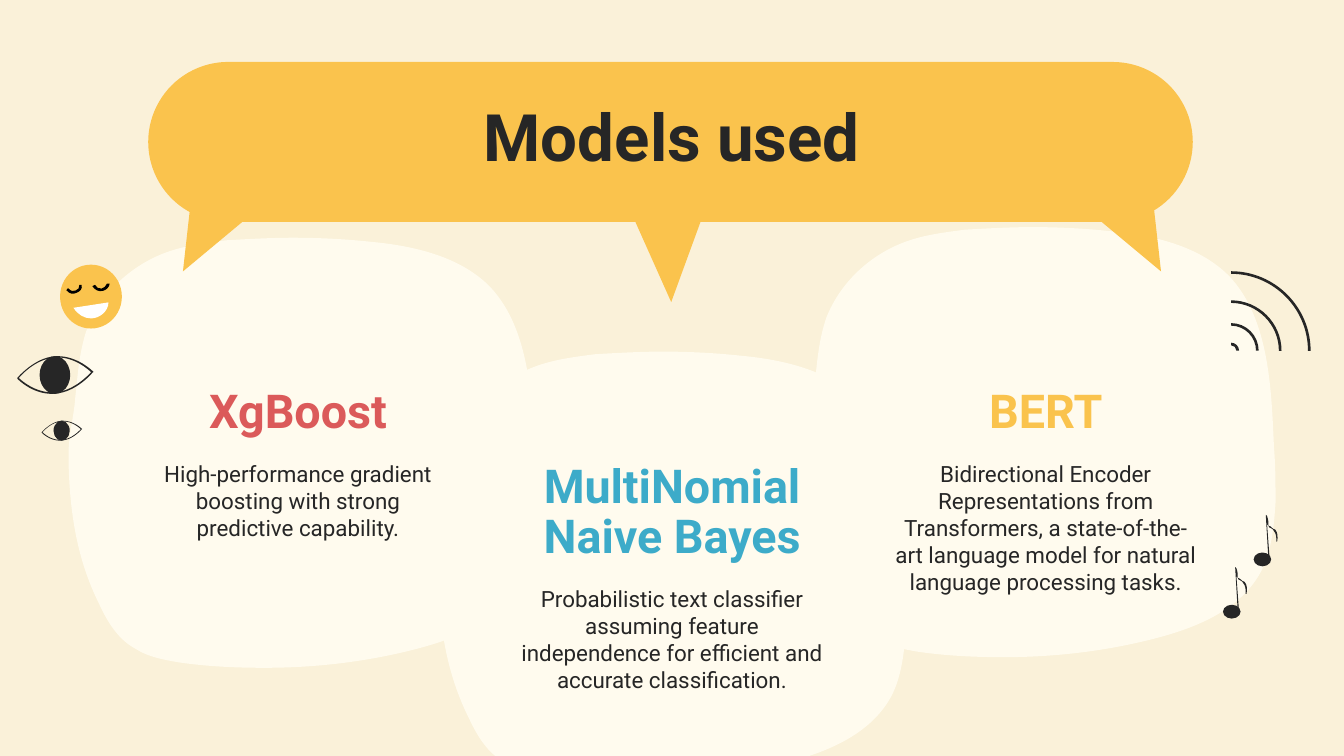
from pptx import Presentation
from pptx.dml.color import RGBColor
from pptx.enum.shapes import MSO_SHAPE as Preset
from pptx.enum.text import MSO_ANCHOR as Anchor, MSO_AUTO_SIZE as AutoSize, PP_ALIGN as Align
from pptx.oxml.ns import qn
from pptx.util import Pt

CREAM = RGBColor(0xFA, 0xF1, 0xD9)
IVORY = RGBColor(0xFF, 0xFB, 0xEE)
YELLOW = RGBColor(0xFA, 0xC3, 0x4D)
RED = RGBColor(0xDB, 0x5A, 0x5A)
BLUE = RGBColor(0x3D, 0xAB, 0xC9)
DARK = RGBColor(0x26, 0x26, 0x26)
BLACK = RGBColor(0, 0, 0)
WHITE = RGBColor(0xFF, 0xFF, 0xFF)

FONT = "Roboto"

# Contours: a start point, then lines (x, y) and cubic curves (x1, y1, x2, y2, x, y).
BLOB = [
    (120.2, 0), (108.7, 0, 96.5, 0.7, 84.2, 1.4), (72.7, 2.9, 61.2, 4.3, 50.4, 8.6),
    (32.4, 15.8, 17.3, 30.2, 10.1, 48.2), (5.8, 60.5, 5, 72.7, 3.6, 85.7),
    (2.9, 95.8, 0, 105.8, 0, 115.9), (0, 117.4, 0, 118.8, 0, 120.2),
    (0.7, 146.9, 4.3, 172.1, 16.6, 196.6), (20.9, 205.9, 26.6, 215.3, 36, 220.3),
    (42.5, 224.6, 51.1, 226.1, 59, 227.5), (74.2, 229.7, 89.3, 230.4, 105.1, 230.4),
    (131, 230.4, 157.7, 227.5, 183.6, 221), (206.6, 215.3, 231.1, 205.9, 242.6, 185),
    (248.4, 174.2, 249.8, 160.6, 250.6, 147.6), (250.6, 137.5, 250.6, 128.2, 249.8, 118.1),
    (248.4, 88.6, 247.7, 49.7, 226.1, 26.6), (210.2, 10.1, 185, 4.3, 162, 2.2),
    (148.3, 0.7, 133.9, 0, 120.2, 0),
]
MOUTH = [
    (16.6, 28.8), (20.9, 28.8, 25.9, 25.2, 25.9, 20.2), (7.2, 23.1),
    (9.4, 26.7, 13, 28.8, 16.6, 28.8),
]
LEFT_EYELID = [
    (8.6, 15.2), (10.8, 14.4, 12.2, 13, 11.5, 10.8), (10.4, 10.8),
    (10.8, 12.3, 9.4, 13.7, 8.3, 13.9), (7.2, 14.4, 5.8, 14.4, 4.3, 12.6), (3.4, 13.7),
    (5, 15.9, 7.2, 15.9, 8.6, 15.2),
]
RIGHT_EYELID = [
    (23, 14), (24.5, 13.7, 26.4, 12.3, 26.6, 10.1), (25.2, 10.1),
    (24.5, 11.6, 23.8, 12.3, 22.3, 12.8), (20.9, 13, 19.4, 12.3, 18.7, 10.8), (17.3, 11.5),
    (18.7, 13.7, 20.9, 14.6, 23, 14),
]
EYE_INSIDE = [
    (21.6, 0.7), (20.9, 0.7, 20.5, 0.7, 20.2, 0.8), (10.1, 1.4, 2.2, 10.1, 0.9, 11.7),
    (2.2, 13, 9.4, 19.4, 18.7, 19.4), (19, 19.4, 19.6, 19.4, 20.2, 19.4),
    (30.2, 18.7, 38.2, 10.1, 39.6, 8.6), (38.2, 7.2, 31, 0.7, 21.6, 0.7),
]
EYE_OUTSIDE = [
    (21.6, 0), (32.4, 0, 40.3, 7.9, 40.3, 7.9), (40.9, 8.4), (40.3, 8.9),
    (40.3, 8.9, 31.7, 19.4, 20.2, 20.1), (19.6, 20.2, 19.2, 20.2, 18.7, 20.2),
    (7.9, 20.2, 0.4, 12.4, 0.4, 12.4), (0, 11.9), (0.2, 11.5),
    (0.2, 11.5, 9.4, 0.7, 20.2, 0.1), (20.6, 0, 21.2, 0, 21.6, 0),
]
NOTE_STEM = [
    (6.5, 0), (7.9, 23.8), (8.6, 23.8), (7.2, 5), (7.2, 5, 7.9, 5, 7.9, 5.8),
    (7.9, 6.5, 8.6, 7.2, 9.4, 7.2), (10.1, 7.9, 10.8, 7.9, 10.8, 8.6),
    (12.2, 10.1, 12.2, 12.2, 12.2, 14.4), (12.6, 14.4),
    (13, 12.2, 13, 9.4, 11.5, 7.9), (10.8, 7.9, 10.1, 7.2, 10.1, 7.2),
    (9.4, 6.5, 8.6, 5.8, 7.9, 5.8), (7.9, 5, 7.9, 4.3, 7.9, 3.6),
    (7.9, 2.2, 7.2, 1.4, 7.2, 0.7),
]


def fill_shape(shape, color):
    shape.shadow.inherit = False
    shape.fill.solid()
    shape.fill.fore_color.rgb = color
    shape.line.fill.background()


def bend_curves(shape, segments):
    """Join the three line steps of each cubic segment into one Bézier curve."""
    steps = shape.element.iter(qn("a:lnTo"))
    steps = iter(list(steps))
    for segment in segments:
        first = next(steps)
        if len(segment) == 6:
            first.tag = qn("a:cubicBezTo")
            for step in (next(steps), next(steps)):
                first.append(step[0])
                step.getparent().remove(step)


def add_outline(slide, contours, left, top, color, scale=1):
    builder = None
    for contour in contours:
        points = [(Pt(left + scale * x), Pt(top + scale * y))
                  for segment in contour for x, y in zip(segment[::2], segment[1::2])]
        if builder is None:
            builder = slide.shapes.build_freeform(*points[0], scale=1.0)
        else:
            builder.move_to(*points[0])
        builder.add_line_segments(points[1:], close=True)
    shape = builder.convert_to_shape()
    bend_curves(shape, [segment for contour in contours for segment in contour[1:]])
    fill_shape(shape, color)


def add_preset(slide, preset, left, top, width, height, color):
    shape = slide.shapes.add_shape(preset, Pt(left), Pt(top), Pt(width), Pt(height))
    fill_shape(shape, color)
    return shape


def add_tail(slide, left, top, width, height, rotation, flipped):
    tail = add_preset(slide, Preset.RIGHT_TRIANGLE, left, top, width, height, YELLOW)
    tail.rotation = rotation
    if flipped:
        tail.element.spPr.find(qn("a:xfrm")).set("flipH", "1")


def add_speech_bubble(slide):
    add_tail(slide, 346.6, 101.1, 51.1, 52.6, 155.9, True)
    bubble = add_preset(slide, Preset.ROUNDED_RECTANGLE, 79.4, 33.2, 559.6, 85.7, YELLOW)
    bubble.adjustments[0] = 0.5
    add_tail(slide, 100.8, 95.8, 50.4, 52.6, 186.4, True)
    add_tail(slide, 568.8, 95.8, 50.4, 52.6, 173.6, False)


def write(shape, text, size, color, anchor, bold=False, spacing=None):
    frame = shape.text_frame
    frame.text = text
    frame.word_wrap = True
    frame.auto_size = AutoSize.NONE
    frame.vertical_anchor = anchor
    frame.margin_left = frame.margin_right = frame.margin_top = frame.margin_bottom = Pt(7.2)
    paragraph = frame.paragraphs[0]
    paragraph.alignment = Align.CENTER
    paragraph.line_spacing = spacing
    font = paragraph.runs[0].font
    font.name, font.size, font.bold = FONT, Pt(size), bold
    font.color.rgb = color


def add_model(slide, left, name_top, name_height, body_top, name, color, description):
    width = Pt(177.8)
    heading = slide.shapes.add_textbox(Pt(left), Pt(name_top), width, Pt(name_height))
    write(heading, name, 25, color, Anchor.BOTTOM, bold=True, spacing=0.9)
    body = slide.shapes.add_textbox(Pt(left), Pt(body_top), width, Pt(56.9))
    write(body, description, 12, DARK, Anchor.TOP)


def set_title(slide, text):
    title = slide.shapes.title
    title.left, title.top, title.width, title.height = Pt(121.7), Pt(39.6), Pt(476.6), Pt(71.3)
    write(title, text, 35, DARK, Anchor.MIDDLE, bold=True, spacing=0.9)
    slide.shapes.element.append(title.element)  # in front of the bubble


def add_smiley(slide, left, top):
    add_preset(slide, Preset.OVAL, left, top, 33.1, 34.2, YELLOW)
    add_outline(slide, [MOUTH], left, top, WHITE)
    for eyelid in (LEFT_EYELID, RIGHT_EYELID):
        add_outline(slide, [eyelid], left, top, BLACK)


def add_eye(slide, left, top, scale):
    add_outline(slide, [EYE_INSIDE, EYE_OUTSIDE], left, top, DARK, scale)
    add_preset(slide, Preset.OVAL, left + 12 * scale, top, 16.4 * scale, 20.2 * scale, DARK)


def add_note(slide, left, top):
    add_preset(slide, Preset.OVAL, left, top + 20.2, 9.4, 7.4, DARK)
    add_outline(slide, [NOTE_STEM], left, top, DARK)


def add_sound_waves(slide, center_x, center_y):
    """Draw quarter rings around one centre."""
    for outer in (42.6, 27, 14.8, 4.3):
        inner = outer - 1.4
        a, b = 0.55 * outer, 0.55 * inner
        ring = [(0, -outer), (a, -outer, outer, -a, outer, 0), (inner, 0),
                (inner, -b, b, -inner, 0, -inner)]
        add_outline(slide, [ring], center_x, center_y, DARK)


def main():
    presentation = Presentation()
    presentation.slide_width, presentation.slide_height = Pt(720), Pt(405)
    slide = presentation.slides.add_slide(presentation.slide_layouts[5])
    slide.background.fill.solid()
    slide.background.fill.fore_color.rgb = CREAM

    for column, top in enumerate((127.4, 188.4, 121.7)):
        add_outline(slide, [BLOB], 36.7 + 198 * column, top, IVORY)
    add_speech_bubble(slide)

    add_model(slide, 70.8, 171, 71.3, 239.5, "XgBoost", RED,
              "High-performance gradient boosting with strong predictive capability.")
    add_model(slide, 271.2, 233.5, 75.6, 306.4, "MultiNomial Naive Bayes", BLUE,
              "Probabilistic text classifier assuming feature independence for "
              "efficient and accurate classification.")
    add_model(slide, 471.4, 171, 71.3, 239.5, "BERT", YELLOW,
              "Bidirectional Encoder Representations from Transformers, a "
              "state-of-the-art language model for natural language processing tasks.")
    set_title(slide, "Models used")

    add_smiley(slide, 32.2, 141.8)
    add_eye(slide, 9.2, 190.8, 1)
    add_eye(slide, 22.3, 225.4, 0.53)
    add_note(slide, 671.6, 275.8)
    add_note(slide, 655.2, 303.8)
    add_sound_waves(slide, 659.5, 187.9)

    presentation.save("out.pptx")


if __name__ == "__main__":
    main()
